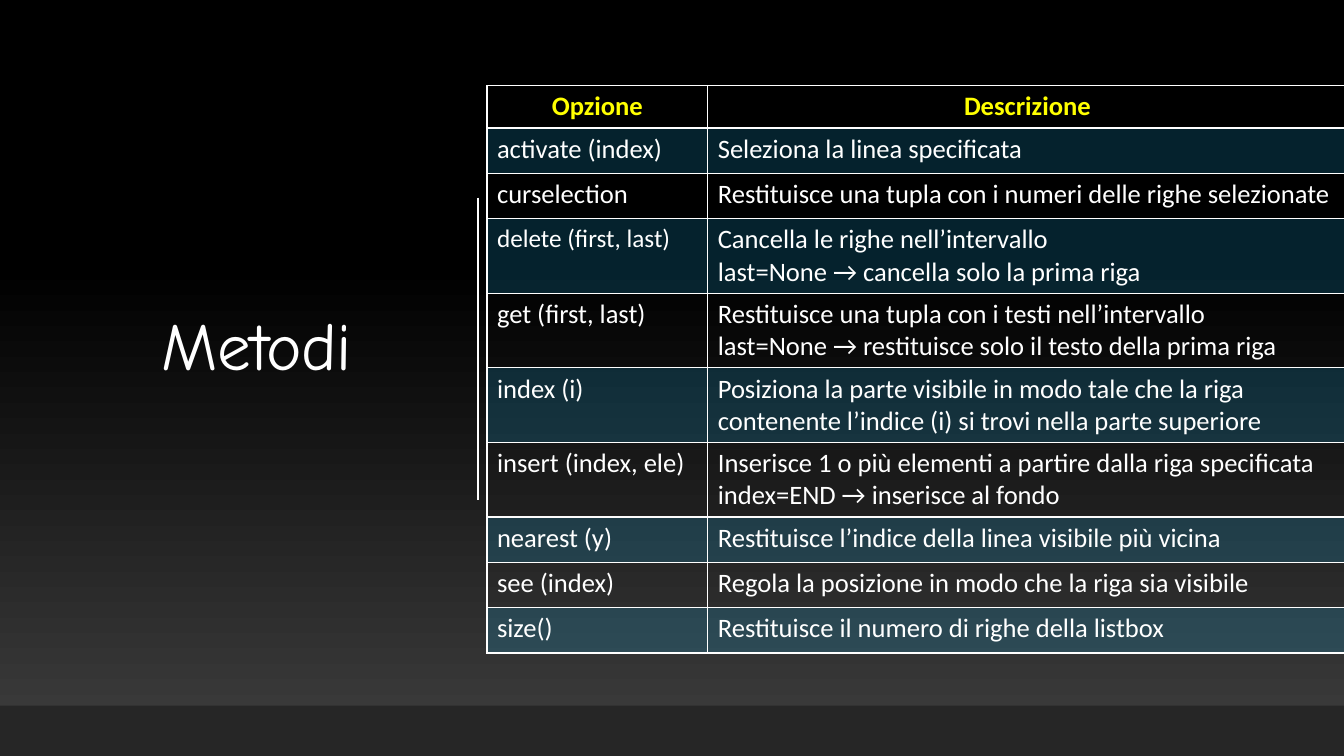
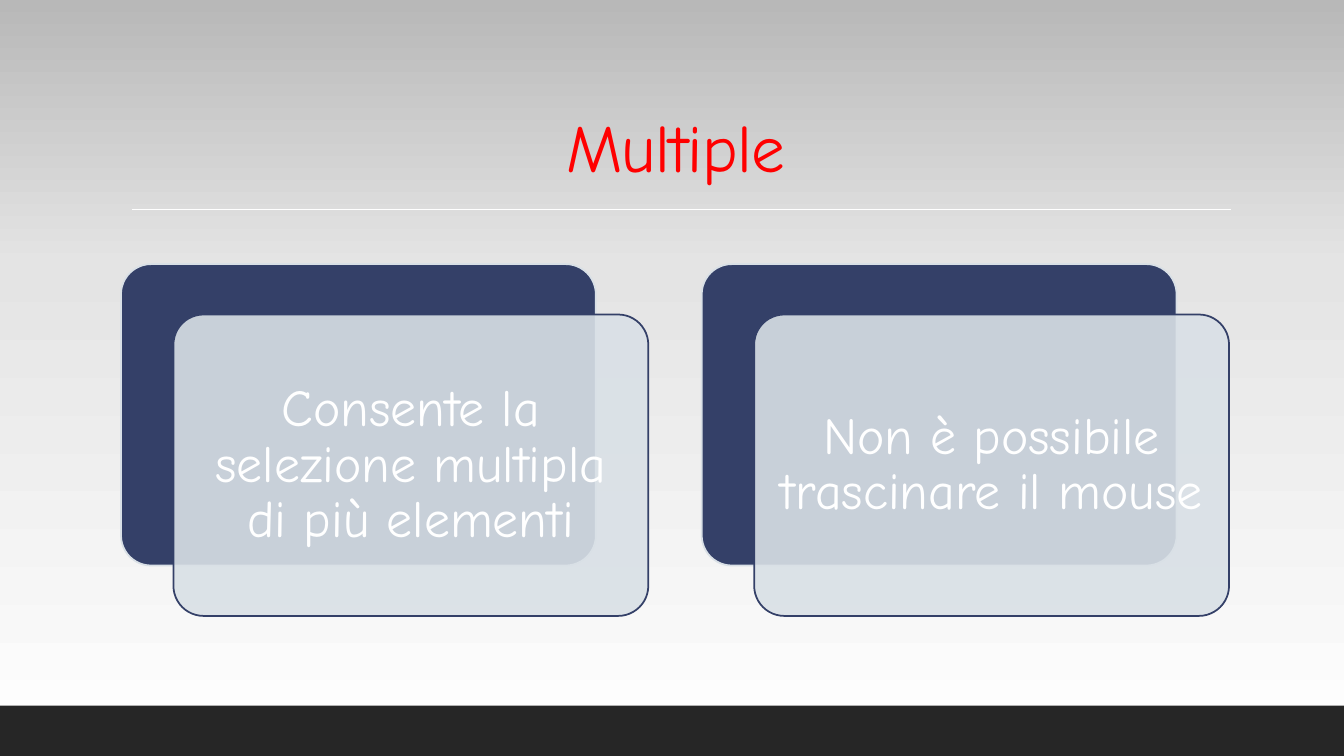
from dataclasses import dataclass

from lxml.etree import SubElement
from pptx import Presentation
from pptx.dml.color import RGBColor
from pptx.enum.shapes import MSO_CONNECTOR, MSO_SHAPE
from pptx.enum.text import MSO_ANCHOR, PP_ALIGN
from pptx.oxml import parse_xml
from pptx.oxml.ns import nsdecls, qn
from pptx.util import Inches, Pt


@dataclass(frozen=True)
class Theme:
    white: str = "FFFFFF"
    red: str = "FF0000"
    yellow: str = "FFFF00"
    cyan: str = "1CADE4"
    navy: str = "344068"
    mist: str = "D9E0E6"
    band: str = "262626"
    # Gradient stops run from the bottom of the slide to the top
    dark: tuple = ((0, "3F3F3F"), (65, "000000"), (100, "000000"))
    light: tuple = ((0, "FFFFFF"), (65, "E4E4E4"), (100, "B8B8B8"))
    title_font: str = "Comic Neue"
    table_font: str = "Calibri"
    title_size: float = 48
    card_size: float = 37
    table_size: float = 19
    small_size: float = 18


THEME = Theme()
SLIDE_W, SLIDE_H, BAND_H = 13.33, 7.5, 0.5

METHODS = [
    ("Opzione", "Descrizione"),
    ("activate (index)", "Seleziona la linea specificata"),
    ("curselection", "Restituisce una tupla con i numeri delle righe selezionate"),
    ("delete (first, last)",
     "Cancella le righe nell’intervallo\nlast=None → cancella solo la prima riga"),
    ("get (first, last)",
     "Restituisce una tupla con i testi nell’intervallo\n"
     "last=None → restituisce solo il testo della prima riga"),
    ("index (i)",
     "Posiziona la parte visibile in modo tale che la riga "
     "contenente l’indice (i) si trovi nella parte superiore"),
    ("insert (index, ele)",
     "Inserisce 1 o più elementi a partire dalla riga specificata\n"
     "index=END → inserisce al fondo"),
    ("nearest (y)", "Restituisce l’indice della linea visibile più vicina"),
    ("see (index)", "Regola la posizione in modo che la riga sia visibile"),
    ("size()", "Restituisce il numero di righe della listbox"),
]
ROW_HEIGHTS = [0.42, 0.45, 0.45] + [0.74] * 4 + [0.45] * 3
CARDS = ["Consente la selezione multipla di più elementi",
         "Non è possibile trascinare il mouse"]


def rgb(color):
    return RGBColor.from_string(color)


def inches(*lengths):
    return [Inches(length) for length in lengths]


def set_alpha(fill, owner, percent):
    """Make the solid colour just set on the owner's fill translucent."""
    color = next(owner.iter(qn("a:solidFill")))[0]
    SubElement(color, qn("a:alpha"), val=str(percent * 1000))


def write_text(frame, text, font, size, color, bold=False,
               align=PP_ALIGN.CENTER, leading=None, tracking=None):
    frame.word_wrap = True
    frame.text = text
    for para in frame.paragraphs:
        para.alignment = align
        if leading:
            para.line_spacing = leading
        for span in para.runs:
            span.font.name = font
            span.font.size = Pt(size)
            span.font.bold = bold
            span.font.color.rgb = rgb(color)
            if tracking:
                span.font._element.set("spc", str(int(tracking * 100)))


def add_panel(slide, kind, box, fill, line=None, alpha=None):
    panel = slide.shapes.add_shape(kind, *inches(*box))
    panel.shadow.inherit = False
    panel.fill.solid()
    panel.fill.fore_color.rgb = rgb(fill)
    if alpha:
        set_alpha(panel.fill, panel._element, alpha)
    if line:
        panel.line.color.rgb = rgb(line)
        panel.line.width = Pt(1.25)
    else:
        panel.line.fill.background()
    return panel


def add_rule(slide, x1, y1, x2, y2):
    rule = slide.shapes.add_connector(MSO_CONNECTOR.STRAIGHT, *inches(x1, y1, x2, y2))
    rule.line.color.rgb = rgb(THEME.white)
    rule.line.width = Pt(1)
    SubElement(rule._element.spPr, qn("a:effectLst"))


def add_title(slide, box, text, color, anchor):
    title = slide.shapes.add_textbox(*inches(*box))
    write_text(title.text_frame, text, THEME.title_font, THEME.title_size, color,
               leading=0.9, tracking=-0.5)
    title.text_frame.vertical_anchor = anchor


def add_base(deck, stops):
    """Blank slide with the gradient background and the bottom band."""
    slide = deck.slides.add_slide(deck.slide_layouts[6])
    fill = slide.background.fill
    fill.gradient()
    fill.gradient_angle = 90
    stop_list = next(slide._element.iter(qn("a:gsLst")))
    for stop in list(stop_list):
        stop_list.remove(stop)
    for position, color in stops:
        stop = SubElement(stop_list, qn("a:gs"), pos=str(position * 1000))
        SubElement(stop, qn("a:srgbClr"), val=color)
    add_panel(slide, MSO_SHAPE.RECTANGLE,
              (0, SLIDE_H - BAND_H, SLIDE_W, BAND_H), THEME.band)
    return slide


def style_cell(cell, row, column, text):
    header = row == 0
    size = THEME.small_size if text.startswith("delete") else THEME.table_size
    write_text(cell.text_frame, text, THEME.table_font, size,
               THEME.yellow if header else THEME.white, bold=header,
               align=PP_ALIGN.CENTER if header else PP_ALIGN.LEFT)
    # Odd rows carry a translucent tint
    properties = cell._tc.get_or_add_tcPr()
    if row % 2:
        cell.fill.solid()
        cell.fill.fore_color.rgb = rgb(THEME.cyan)
        set_alpha(cell.fill, properties, 20)
    else:
        cell.fill.background()
    # Borders come before the fill
    for index, side in enumerate(("lnL", "lnR", "lnT", "lnB")):
        properties.insert(index, parse_xml(
            f'<a:{side} {nsdecls("a")} w="12700"><a:solidFill>'
            f'<a:srgbClr val="{THEME.white}"/></a:solidFill></a:{side}>'))


def add_methods_table(slide, left, top, widths, heights, rows):
    table = slide.shapes.add_table(
        len(rows), len(widths),
        *inches(left, top, sum(widths), sum(heights))).table
    table.first_row = False
    table.horz_banding = False
    for column, width in zip(table.columns, widths):
        column.width = Inches(width)
    for row, (height, texts) in enumerate(zip(heights, rows)):
        table.rows[row].height = Inches(height)
        for column, text in enumerate(texts):
            style_cell(table.cell(row, column), row, column, text)


def add_card(slide, left, top, text):
    """Dark card with a translucent text card shifted over it."""
    width, height, shift_x, shift_y = 4.71, 2.99, 0.52, 0.5
    back = add_panel(slide, MSO_SHAPE.ROUNDED_RECTANGLE,
                     (left, top, width, height), THEME.navy, THEME.mist)
    front = add_panel(slide, MSO_SHAPE.ROUNDED_RECTANGLE,
                      (left + shift_x, top + shift_y, width, height),
                      THEME.mist, THEME.navy, alpha=90)
    for card in (back, front):
        card.adjustments[0] = 0.1
    frame = front.text_frame
    frame.margin_left = frame.margin_right = Inches(0.15)
    frame.margin_top = frame.margin_bottom = Inches(0.15)
    frame.vertical_anchor = MSO_ANCHOR.MIDDLE
    write_text(frame, text, THEME.title_font, THEME.card_size, THEME.white, leading=0.9)


def build_methods(deck):
    slide = add_base(deck, THEME.dark)
    add_title(slide, (0.7, 0.69, 3.69, 5.53), "Metodi", THEME.white, MSO_ANCHOR.MIDDLE)
    add_rule(slide, 4.74, 1.96, 4.74, 4.96)
    add_methods_table(slide, 4.83, 0.85, (2.19, 6.34), ROW_HEIGHTS, METHODS)


def build_multiple(deck):
    slide = add_base(deck, THEME.light)
    add_title(slide, (1.2, 0.31, 11, 1.59), "Multiple", THEME.red, MSO_ANCHOR.BOTTOM)
    add_rule(slide, 1.31, 2.08, 12.21, 2.08)
    for index, text in enumerate(CARDS):
        add_card(slide, 1.2 + index * 5.76, 2.62, text)


def main():
    deck = Presentation()
    deck.slide_width, deck.slide_height = inches(SLIDE_W, SLIDE_H)
    build_methods(deck)
    build_multiple(deck)
    deck.save("out.pptx")


if __name__ == "__main__":
    main()
